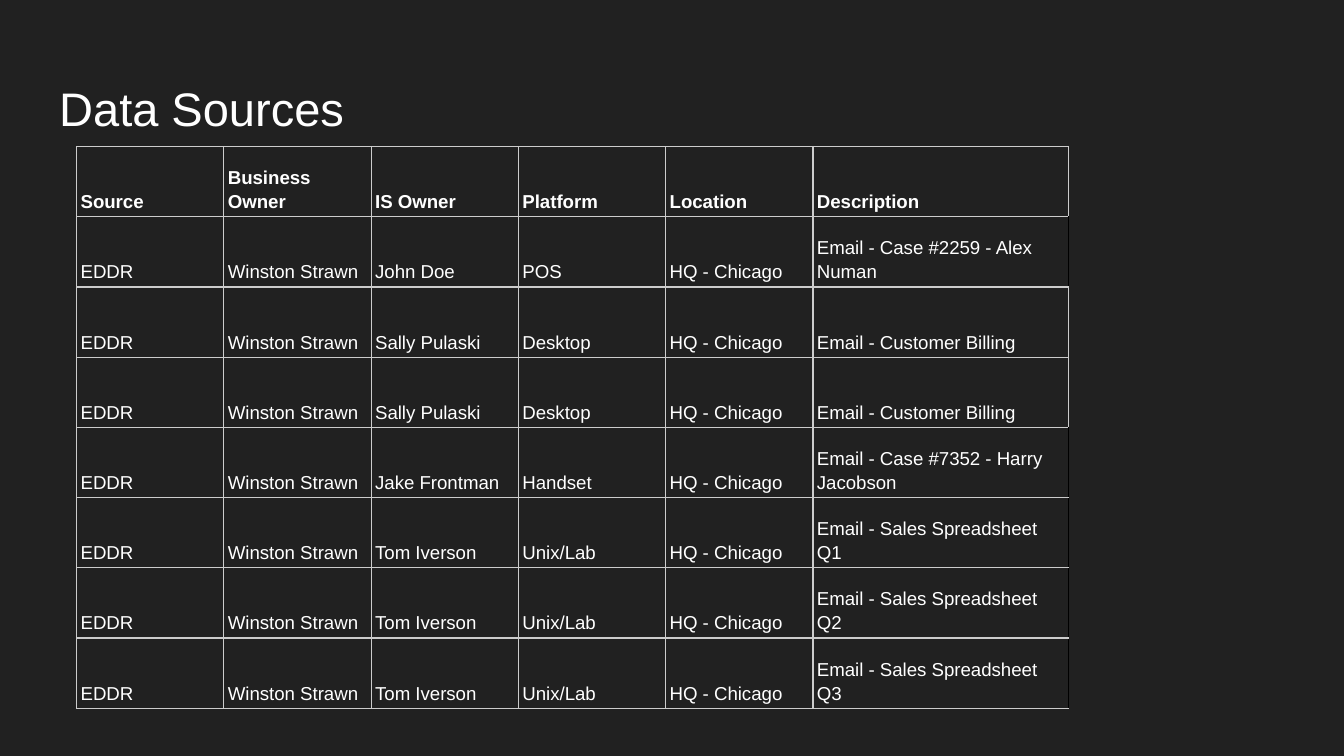
from dataclasses import dataclass

from lxml import etree
from pptx import Presentation
from pptx.dml.color import RGBColor
from pptx.enum import text
from pptx.oxml.ns import qn
from pptx.util import Inches, Pt


@dataclass(frozen=True)
class Theme:
    background: str = "212121"
    ink: str = "FFFFFF"
    grid: str = "CCCCCC"
    dark_edge: str = "000000"
    font: str = "Arial"
    title_size: float = 25.2
    table_size: float = 10
    grid_width: float = 0.75


theme = Theme()


def style_font(span, size, bold=False):
    values = {"name": theme.font, "size": Pt(size), "bold": bold}
    for name, value in values.items():
        setattr(span.font, name, value)
    span.font.color.rgb = RGBColor.from_string(theme.ink)


def set_borders(cell, colours):
    """Draw the cell's edges, given as (tag, colour) pairs in schema order."""
    properties = cell._tc.get_or_add_tcPr()
    for position, (tag, colour) in enumerate(colours):
        line = etree.Element(qn(f"a:{tag}"), w=str(Pt(theme.grid_width)))
        fill = etree.SubElement(line, qn("a:solidFill"))
        etree.SubElement(fill, qn("a:srgbClr"), val=colour)
        properties.insert(position, line)


deck = Presentation()
deck.slide_width = Inches(10)
deck.slide_height = deck.slide_width * 9 // 16
page = deck.slides.add_slide(deck.slide_layouts[5])
page.background.fill.solid()
page.background.fill.fore_color.rgb = RGBColor.from_string(theme.background)

# Title
title = page.shapes.title
title_place = {"left": 0.34, "top": 0.49, "width": 9.32, "height": 0.63}
for name, value in title_place.items():
    setattr(title, name, Inches(value))
frame = title.text_frame
frame_format = {"word_wrap": True, "auto_size": text.MSO_AUTO_SIZE.NONE,
                "vertical_anchor": text.MSO_ANCHOR.TOP}
for name, value in frame_format.items():
    setattr(frame, name, value)
for side in ("left", "right", "top", "bottom"):
    setattr(frame, f"margin_{side}", Inches(0.1))
para = frame.paragraphs[0]
para.alignment = text.PP_ALIGN.LEFT
span = para.add_run()
span.text = "Data Sources"
style_font(span, theme.title_size)

# Data sources: source, business owner and location are the same in every row
header = ["Source", "Business Owner", "IS Owner", "Platform", "Location", "Description"]
sources = [
    ("John Doe", "POS", "Email - Case #2259 - Alex Numan"),
    ("Sally Pulaski", "Desktop", "Email - Customer Billing"),
    ("Sally Pulaski", "Desktop", "Email - Customer Billing"),
    ("Jake Frontman", "Handset", "Email - Case #7352 - Harry Jacobson"),
    ("Tom Iverson", "Unix/Lab", "Email - Sales Spreadsheet Q1"),
    ("Tom Iverson", "Unix/Lab", "Email - Sales Spreadsheet Q2"),
    ("Tom Iverson", "Unix/Lab", "Email - Sales Spreadsheet Q3"),
]
rows = [header] + [
    ["EDDR", "Winston Strawn", owner, platform, "HQ - Chicago", description]
    for owner, platform, description in sources
]
dark_edge_rows = {1, 4, 5, 6, 7}

table_width, table_height, description_width = Inches(7.38), Inches(4.18), Inches(1.9)
last = len(header) - 1
table = page.shapes.add_table(len(rows), len(header), Inches(0.57), Inches(1.09),
                              table_width, table_height).table
table.first_row = table.horz_banding = False
for column in table.columns:
    column.width = (table_width - description_width) // last
table.columns[last].width = description_width

cell_format = {"vertical_anchor": text.MSO_ANCHOR.BOTTOM}
for side in ("left", "right", "top", "bottom"):
    cell_format[f"margin_{side}"] = Inches(0.03)

for r, values in enumerate(rows):
    table.rows[r].height = table_height // len(rows)
    for c, value in enumerate(values):
        cell = table.cell(r, c)
        for name, setting in cell_format.items():
            setattr(cell, name, setting)
        cell.fill.background()
        para = cell.text_frame.paragraphs[0]
        para.line_spacing = 1.15
        span = para.add_run()
        span.text = value
        style_font(span, theme.table_size, bold=r == 0)
        is_dark = c == last and r in dark_edge_rows
        right = theme.dark_edge if is_dark else theme.grid
        set_borders(cell, [("lnL", theme.grid), ("lnR", right),
                           ("lnT", theme.grid), ("lnB", theme.grid)])

deck.save("out.pptx")
